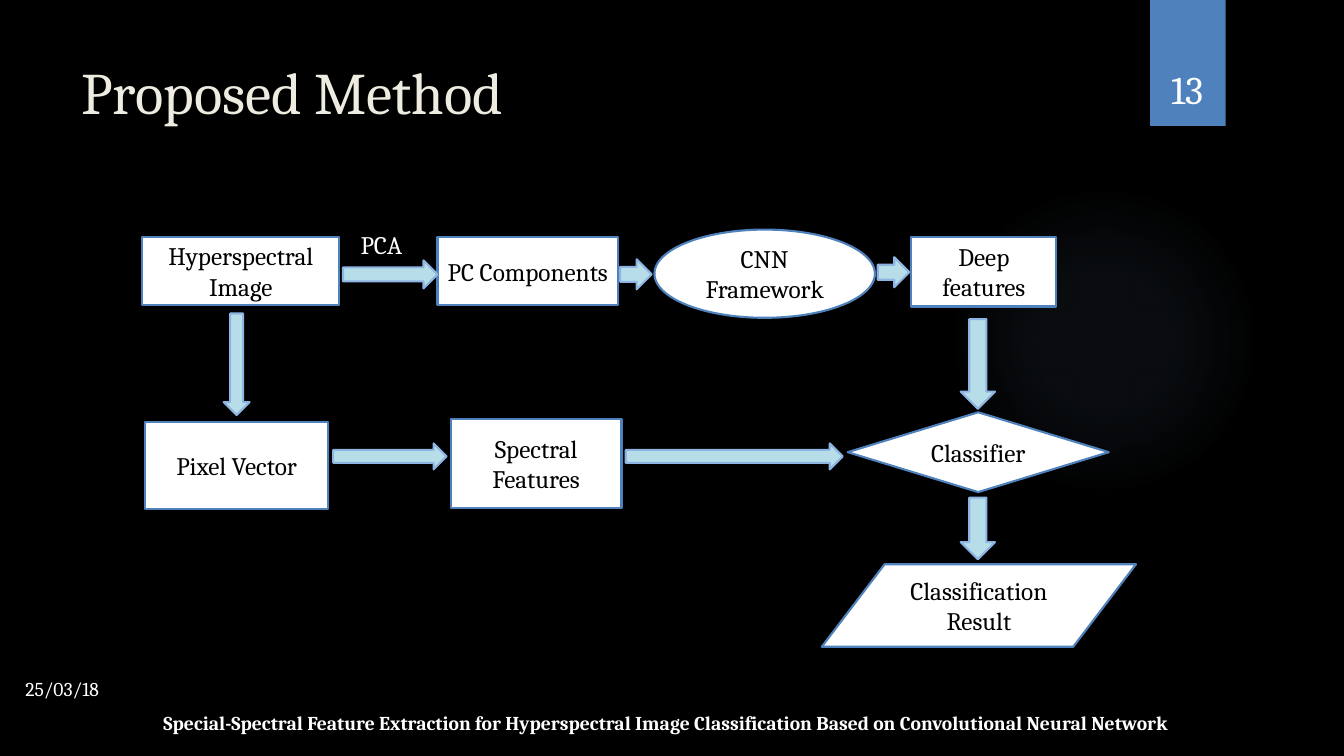
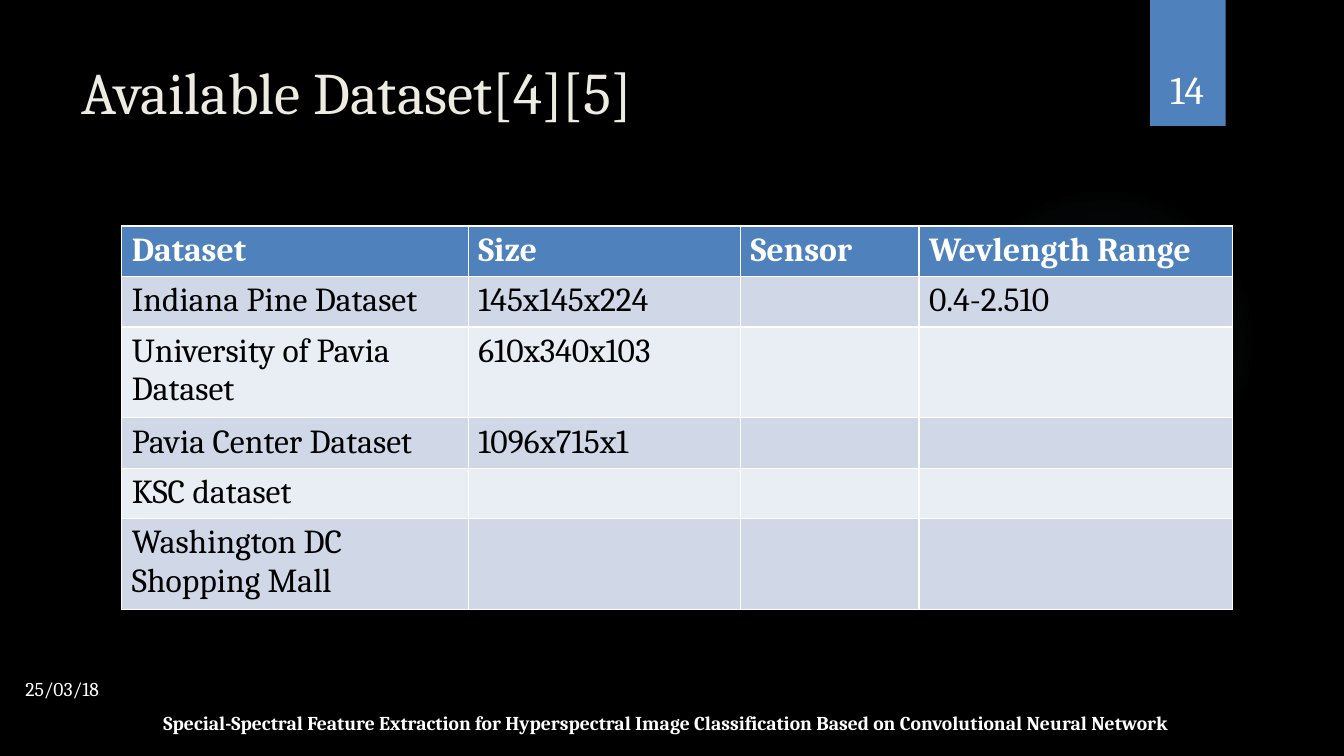
import pptx
import pptx.util
import pptx.oxml
import pptx.oxml.ns
from pptx.dml.color import RGBColor
from pptx.enum.shapes import MSO_SHAPE
from pptx.enum.text import MSO_ANCHOR, MSO_AUTO_SIZE, PP_ALIGN

Pt = pptx.util.Pt

# Shared look
FONT = "Cambria"
COLORS = {
    "background": "000000", "title": "EEECE1", "light": "FFFFFF", "dark": "000000",
    "accent": "4F81BD", "arrow": "B7DEE8", "arrow_edge": "8EB4E3", "glow": "8EB4E3",
    "odd_row": "D0D8E8", "even_row": "E9EDF4",
}
DATE = "25/03/18"
FOOTER = ("Special-Spectral Feature Extraction for Hyperspectral Image Classification "
          "Based on Convolutional Neural Network ")
GLOW_STOPS = [(0, 7), (36, 6), (69, 0)]  # position %, opacity %

# Flow chart: name -> shape, (left, top, width, height)
STAGES = {
    "Hyperspectral Image": (MSO_SHAPE.RECTANGLE, (101.5, 169, 141, 49)),
    "PC Components": (MSO_SHAPE.RECTANGLE, (312.5, 169, 129, 49)),
    "CNN Framework": (MSO_SHAPE.OVAL, (467.5, 164, 157.5, 63)),
    "Deep features": (MSO_SHAPE.RECTANGLE, (651, 169, 103.5, 50)),
    "Pixel Vector": (MSO_SHAPE.RECTANGLE, (103.5, 301.5, 131, 62)),
    "Spectral Features": (MSO_SHAPE.RECTANGLE, (322, 299.5, 122, 63.5)),
    "Classifier": (MSO_SHAPE.DIAMOND, (605.5, 294.5, 186.5, 57)),
    "Classification Result": (MSO_SHAPE.FLOWCHART_DATA, (587, 403, 224.5, 59)),
}
# Source, target, centre line, thickness, gap after source, gap before target
ACROSS = [
    ("Hyperspectral Image", "PC Components", 196, 20, 2.5, 0),
    ("PC Components", "CNN Framework", 196, 21.5, 1.5, 2),
    ("CNN Framework", "Deep features", 194.5, 21.5, 2, 1.5),
    ("Pixel Vector", "Spectral Features", 326, 18.5, 3.5, 3),
    ("Spectral Features", "Classifier", 326, 18.5, 3, 3.5),
]
DOWN = [
    ("Hyperspectral Image", "Pixel Vector", 169, 18.5, 6, 5),
    ("Deep features", "Classifier", 698.5, 24.5, 9, 2.5),
    ("Classifier", "Classification Result", 698.5, 24.5, 4, 3.5),
]

# Dataset table
DATASETS = [
    ("Dataset", "Size", "Sensor", "Wevlength Range"),
    ("Indiana Pine Dataset", "145x145x224", "", "0.4-2.510"),
    ("University of Pavia Dataset", "610x340x103", "", ""),
    ("Pavia Center Dataset", "1096x715x1", "", ""),
    ("KSC dataset", "", "", ""),
    ("Washington DC Shopping Mall", "", "", ""),
]
COLUMN_WIDTHS = [247.5, 194.5, 127.5, 224]
ROW_HEIGHTS = [34.8, 34.8, 62.8, 34.8, 34.8, 62.8]


def color(name):
    return RGBColor.from_string(COLORS[name])


def write(frame, text, size, ink, bold=False, align=PP_ALIGN.LEFT):
    paragraph = frame.paragraphs[0]
    paragraph.alignment = align
    run = paragraph.add_run()
    run.text = text
    font = run.font
    font.name, font.size, font.bold = FONT, Pt(size), bold
    font.color.rgb = color(ink)


def add_label(slide, box, text, size, bold=False, align=PP_ALIGN.LEFT,
              anchor=MSO_ANCHOR.TOP, grow=True):
    frame = slide.shapes.add_textbox(*map(Pt, box)).text_frame
    frame.word_wrap = True
    frame.vertical_anchor = anchor
    frame.auto_size = MSO_AUTO_SIZE.SHAPE_TO_FIT_TEXT if grow else MSO_AUTO_SIZE.NONE
    write(frame, text, size, "light", bold, align)


def add_figure(slide, kind, box, fill, edge=None):
    figure = slide.shapes.add_shape(kind, *map(Pt, box))
    figure.shadow.inherit = False
    figure.fill.solid()
    figure.fill.fore_color.rgb = color(fill)
    if edge:
        figure.line.color.rgb = color(edge)
        figure.line.width = Pt(1.5)
    else:
        figure.line.fill.background()
    return figure


def decorate_layout(layout, slide):
    """Put the glow and the number band on the layout, behind its placeholders."""
    glow = add_figure(slide, MSO_SHAPE.OVAL, (677.5, 132, 222, 222), "glow")
    stops = "".join(
        f'<a:gs pos="{pos * 1000}"><a:srgbClr val="{COLORS["glow"]}">'
        f'<a:alpha val="{alpha * 1000}"/></a:srgbClr></a:gs>' for pos, alpha in GLOW_STOPS)
    gradient = pptx.oxml.parse_xml(
        f'<a:gradFill {pptx.oxml.ns.nsdecls("a")}><a:gsLst>{stops}</a:gsLst>'
        '<a:path path="circle"><a:fillToRect l="50000" t="50000" r="50000" b="50000"/>'
        '</a:path></a:gradFill>')
    solid = glow.element.spPr.find(pptx.oxml.ns.qn("a:solidFill"))
    glow.element.spPr.replace(solid, gradient)
    band = add_figure(slide, MSO_SHAPE.RECTANGLE, (821.5, 0, 54, 90), "accent")
    for index, figure in enumerate((glow, band)):
        layout.shapes.element.insert(2 + index, figure.element)


def add_slide(deck, layout, title, number):
    slide = deck.slides.add_slide(layout)
    heading = slide.shapes.title
    heading.left, heading.top, heading.width, heading.height = map(Pt, (51, 36, 741, 110))
    heading.text_frame.vertical_anchor = MSO_ANCHOR.TOP
    write(heading.text_frame, title, 42, "title")
    add_label(slide, (815, 23, 66, 60.5), str(number), 28, align=PP_ALIGN.CENTER,
              anchor=MSO_ANCHOR.BOTTOM, grow=False)
    add_label(slide, (76.5, 504, 802, 24.5), FOOTER, 14, bold=True, align=PP_ALIGN.CENTER)
    add_label(slide, (11, 480, 96.5, 24.5), DATE, 14)
    return slide


def draw_method(slide):
    for name, (kind, box) in STAGES.items():
        frame = add_figure(slide, kind, box, "light", "accent").text_frame
        frame.word_wrap = True
        frame.vertical_anchor = MSO_ANCHOR.MIDDLE
        write(frame, name, 18, "dark", align=PP_ALIGN.CENTER)
    # axis 0 runs left to right, axis 1 top to bottom
    for axis, kind, links in ((0, MSO_SHAPE.RIGHT_ARROW, ACROSS),
                              (1, MSO_SHAPE.DOWN_ARROW, DOWN)):
        for source, target, centre, thickness, gap_after, gap_before in links:
            source_box, target_box = STAGES[source][1], STAGES[target][1]
            start = source_box[axis] + source_box[axis + 2] + gap_after
            length = target_box[axis] - gap_before - start
            side = centre - thickness / 2
            box = ((side, start, thickness, length) if axis
                   else (start, side, length, thickness))
            add_figure(slide, kind, box, "arrow", "arrow_edge")
    add_label(slide, (250.5, 160, 57.5, 29), "PCA", 18)


def draw_datasets(slide):
    table = slide.shapes.add_table(
        len(DATASETS), len(COLUMN_WIDTHS), Pt(87), Pt(161.5),
        Pt(sum(COLUMN_WIDTHS)), Pt(sum(ROW_HEIGHTS))).table
    for column, width in zip(table.columns, COLUMN_WIDTHS):
        column.width = Pt(width)
    for index, (row, height, texts) in enumerate(zip(table.rows, ROW_HEIGHTS, DATASETS)):
        row.height = Pt(height)
        header = index == 0
        fill = "accent" if header else "odd_row" if index % 2 else "even_row"
        for cell, text in zip(row.cells, texts):
            cell.fill.solid()
            cell.fill.fore_color.rgb = color(fill)
            if text:
                write(cell.text_frame, text, 24, "light" if header else "dark", header)


def main():
    deck = pptx.Presentation()
    deck.slide_width, deck.slide_height = Pt(960), Pt(540)
    backdrop = deck.slide_master.background.fill
    backdrop.solid()
    backdrop.fore_color.rgb = color("background")
    layout = deck.slide_layouts.get_by_name("Title Only")

    method = add_slide(deck, layout, "Proposed Method", 13)
    decorate_layout(layout, method)
    draw_method(method)
    draw_datasets(add_slide(deck, layout, "Available Dataset[4][5]", 14))
    deck.save("out.pptx")


if __name__ == "__main__":
    main()
